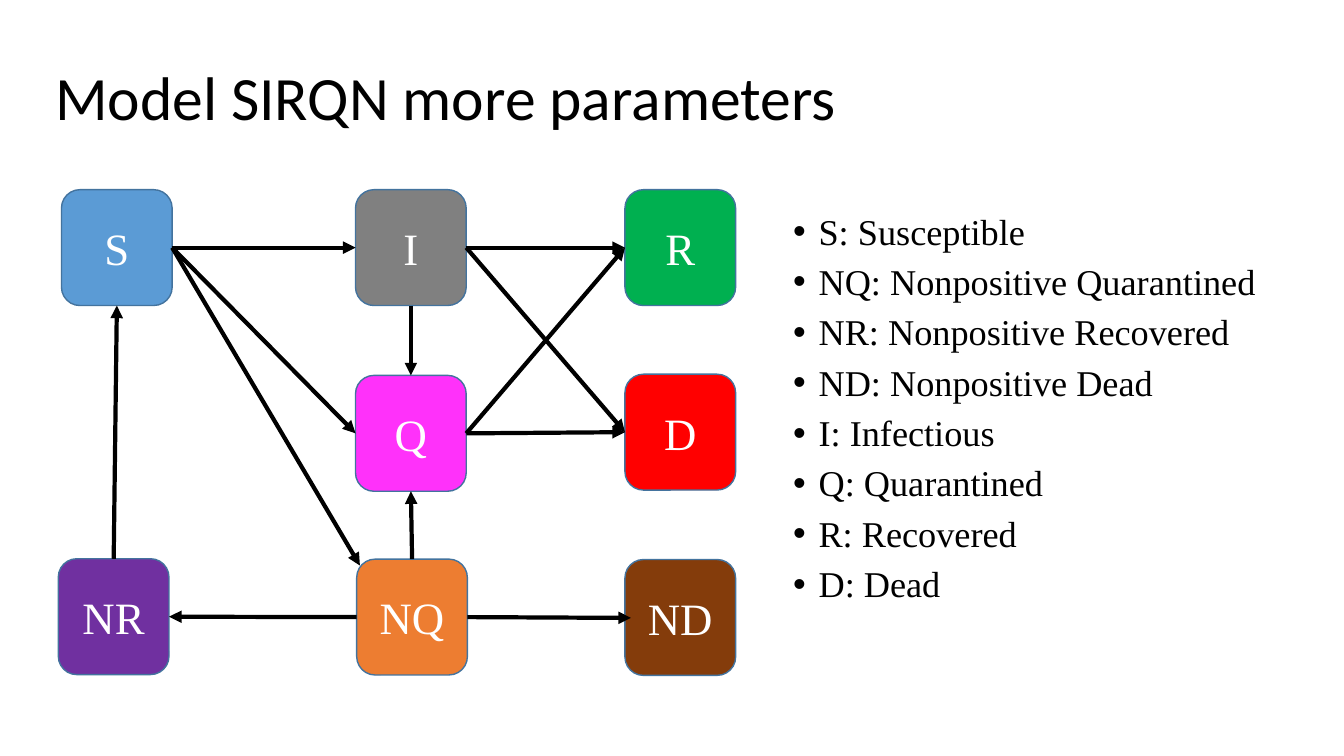
from dataclasses import dataclass

from lxml import etree
from pptx import Presentation
from pptx.dml.color import RGBColor
from pptx.enum.shapes import MSO_CONNECTOR as Connector, MSO_SHAPE as Preset
from pptx.enum.text import MSO_ANCHOR as Anchor, PP_ALIGN as Align
from pptx.oxml.ns import qn
from pptx.util import Cm, Pt


@dataclass(frozen=True)
class Theme:
    ink: str = "000000"
    node_text: str = "FFFFFF"
    node_line: str = "43739E"
    title_font: str = "Calibri"
    body_font: str = "Times New Roman"
    title_size: float = 44
    node_size: float = 32
    legend_size: float = 25.9
    arrow_width: float = 3


THEME = Theme()
TOP, LEFT, BOTTOM, RIGHT = range(4)
NODE_WIDTH, NODE_HEIGHT = 2.79, 2.92

NODES = {
    "S": (1.55, 4.78, "5B9BD5"),
    "I": (8.96, 4.78, "808080"),
    "R": (15.75, 4.78, "00B050"),
    "Q": (8.96, 9.46, "FF31FA"),
    "D": (15.75, 9.43, "FF0000"),
    "NR": (1.47, 14.08, "7030A0"),
    "NQ": (8.99, 14.09, "ED7D31"),
    "ND": (15.75, 14.1, "843C0B"),
}

FLOWS = [
    ("NR", TOP, "S", BOTTOM),
    ("NQ", LEFT, "NR", RIGHT),
    ("S", RIGHT, "I", LEFT),
    ("I", RIGHT, "R", LEFT),
    ("NQ", TOP, "Q", BOTTOM),
    ("I", BOTTOM, "Q", TOP),
    ("Q", RIGHT, "D", LEFT),
    ("S", RIGHT, "Q", LEFT),
    ("Q", RIGHT, "R", LEFT),
    ("I", RIGHT, "D", LEFT),
]

INSIDE_FLOWS = [
    ("S", RIGHT, 9.07, 14.25),
    ("NQ", RIGHT, 15.9, 15.57),
]

LEGEND = [
    "S: Susceptible",
    "NQ: Nonpositive Quarantined",
    "NR: Nonpositive Recovered",
    "ND: Nonpositive Dead",
    "I: Infectious",
    "Q: Quarantined",
    "R: Recovered",
    "D: Dead",
]


def add_span(para, text, font, size, color):
    span = para.add_run()
    span.text = text
    span.font.name = font
    span.font.size = Pt(size)
    span.font.color.rgb = RGBColor.from_string(color)


def add_text_box(page, left, top, width, height, anchor):
    box = page.shapes.add_textbox(Cm(left), Cm(top), Cm(width), Cm(height))
    box.text_frame.word_wrap = True
    box.text_frame.vertical_anchor = anchor
    return box.text_frame


def add_title(page, text):
    frame = add_text_box(page, 1.14, 0.69, 32.49, 3.68, Anchor.MIDDLE)
    para = frame.paragraphs[0]
    para.line_spacing = 0.9
    add_span(para, text, THEME.title_font, THEME.title_size, THEME.ink)


def add_bullet(para):
    properties = para._p.get_or_add_pPr()
    properties.set("marL", str(Cm(0.64)))
    properties.set("indent", str(-Cm(0.64)))
    etree.SubElement(properties, qn("a:buFont"), typeface="Arial")
    etree.SubElement(properties, qn("a:buChar"), char="•")


def add_legend(page, entries):
    frame = add_text_box(page, 19.74, 5.26, 13.41, 9.88, Anchor.TOP)
    for index, entry in enumerate(entries):
        para = frame.add_paragraph() if index else frame.paragraphs[0]
        add_bullet(para)
        para.line_spacing = 0.9
        if index:
            para.space_before = Pt(8)
        add_span(para, entry, THEME.body_font, THEME.legend_size, THEME.ink)


def add_node(page, label, left, top, color):
    node = page.shapes.add_shape(
        Preset.ROUNDED_RECTANGLE, Cm(left), Cm(top), Cm(NODE_WIDTH), Cm(NODE_HEIGHT)
    )
    node.shadow.inherit = False
    node.fill.solid()
    node.fill.fore_color.rgb = RGBColor.from_string(color)
    node.line.color.rgb = RGBColor.from_string(THEME.node_line)
    node.line.width = Pt(1)
    node.text_frame.vertical_anchor = Anchor.MIDDLE
    para = node.text_frame.paragraphs[0]
    para.alignment = Align.CENTER
    add_span(para, label, THEME.body_font, THEME.node_size, THEME.node_text)
    return node


def add_arrow(page, source, source_side, end_x=0, end_y=0):
    arrow = page.shapes.add_connector(
        Connector.STRAIGHT, Cm(0), Cm(0), Cm(end_x), Cm(end_y)
    )
    arrow.begin_connect(source, source_side)
    arrow.line.color.rgb = RGBColor.from_string(THEME.ink)
    arrow.line.width = Pt(THEME.arrow_width)
    etree.SubElement(arrow.line._get_or_add_ln(), qn("a:tailEnd"), type="triangle")
    etree.SubElement(arrow._element.spPr, qn("a:effectLst"))
    return arrow


def main():
    deck = Presentation()
    deck.slide_width, deck.slide_height = Cm(33.87), Cm(19.05)
    page = deck.slides.add_slide(deck.slide_layouts[6])
    add_title(page, "Model SIRQN more parameters")
    add_legend(page, LEGEND)
    nodes = {label: add_node(page, label, *place) for label, place in NODES.items()}
    for source, source_side, target, target_side in FLOWS:
        arrow = add_arrow(page, nodes[source], source_side)
        arrow.end_connect(nodes[target], target_side)
    for source, source_side, end_x, end_y in INSIDE_FLOWS:
        add_arrow(page, nodes[source], source_side, end_x, end_y)
    deck.save("out.pptx")


if __name__ == "__main__":
    main()
